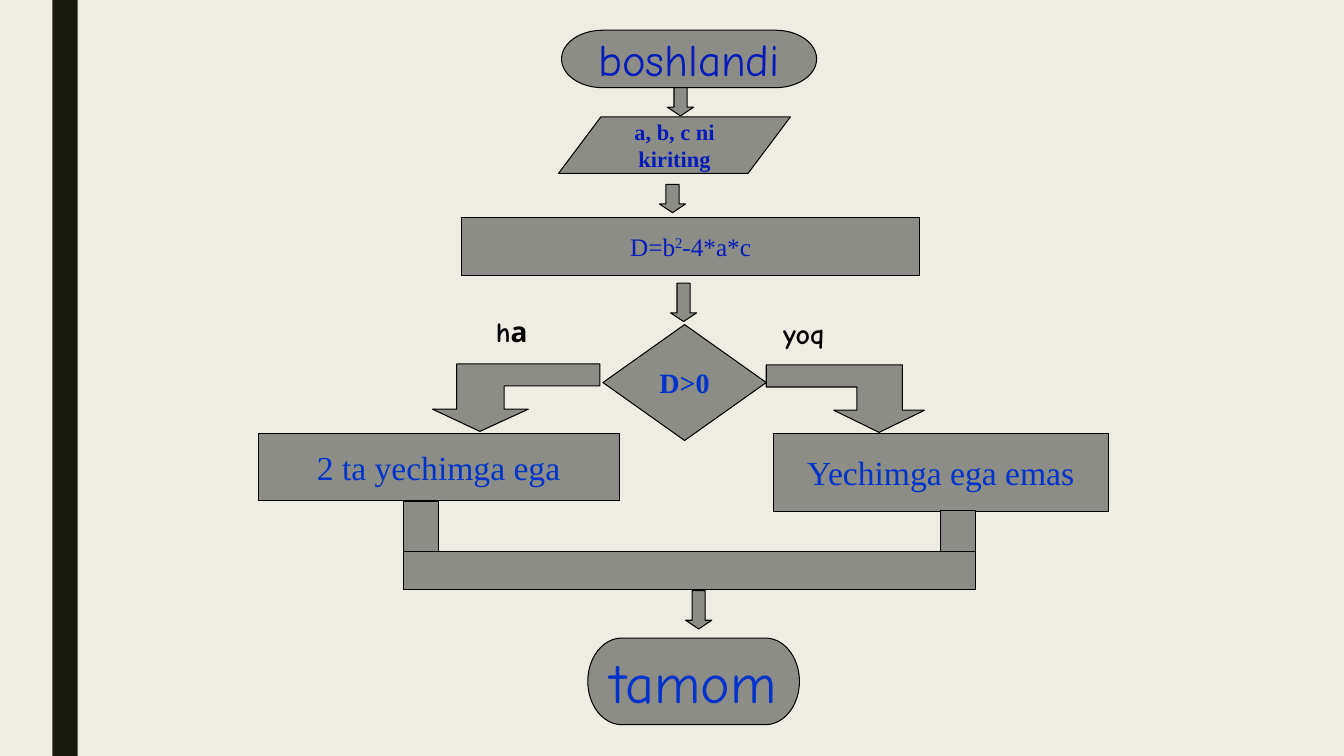
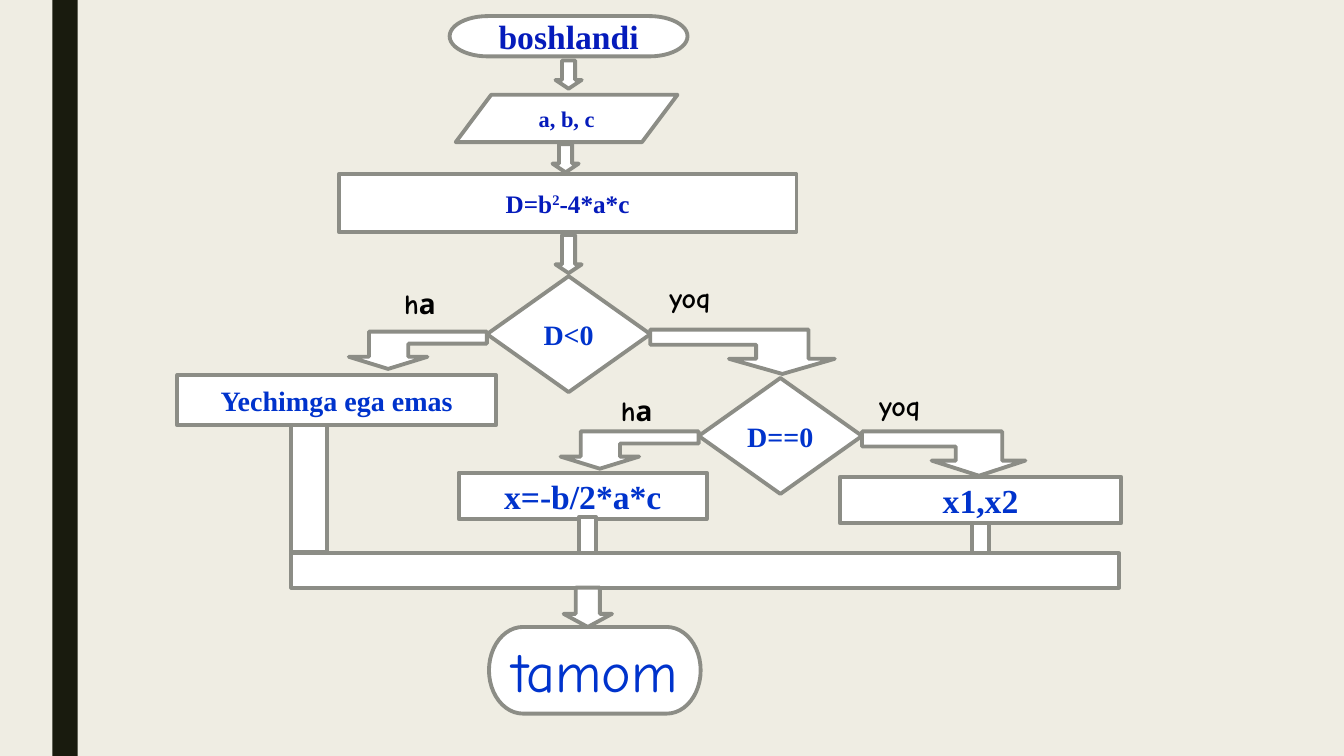
"""Build two flowcharts for solving a quadratic equation."""
from dataclasses import dataclass

from pptx import Presentation
from pptx.dml.color import RGBColor
from pptx.enum.shapes import MSO_SHAPE
from pptx.enum.text import MSO_ANCHOR, PP_ALIGN
from pptx.util import Pt

SCALE = 9144
WIDE, HIGH = 1333, 750
COLORS = {
    "page": "EFEDE3", "band": "191B0E", "gray": "8C8D86", "white": "FFFFFF",
    "black": "000000", "navy": "051BBB", "blue": "0033CC",
}
SERIF, COMIC = "Times New Roman", "Comic Neue"
RECT, DOWN = MSO_SHAPE.RECTANGLE, MSO_SHAPE.DOWN_ARROW
BOX, END = MSO_SHAPE.FLOWCHART_PROCESS, MSO_SHAPE.FLOWCHART_TERMINATOR
TEST, SLANT = MSO_SHAPE.FLOWCHART_DECISION, MSO_SHAPE.PARALLELOGRAM
ADJUST = {DOWN: (0.5, 0.333), SLANT: (0.75,)}
CENTER, MIDDLE = PP_ALIGN.CENTER, MSO_ANCHOR.MIDDLE


@dataclass(frozen=True)
class Look:
    fill: str
    line: str
    weight: float


@dataclass(frozen=True)
class Type:
    size: int
    color: str = "blue"
    bold: bool = True
    font: str = SERIF


@dataclass(frozen=True)
class Node:
    kind: MSO_SHAPE
    x: int
    y: int
    w: int
    h: int
    text: str = ""
    type: Type = Type(20)


@dataclass(frozen=True)
class Bend:
    x: int
    y: int
    w: int
    h: int
    left: bool = False


@dataclass(frozen=True)
class Label:
    x: int
    y: int
    text: str


@dataclass(frozen=True)
class Chart:
    look: Look
    steps: tuple


NOTE = Type(20, "black", font=COMIC)
INPUT = Type(16, "navy")
LARGE = Type(24)
PLAIN = Type(24, bold=False)
FINAL = Type(40, bold=False, font=COMIC)


def arrow(x: int, y: int, h: int, w: int = 26) -> Node:
    """Return a straight arrow pointing down."""
    return Node(DOWN, x, y, w, h)


CHARTS = (
    Chart(Look("gray", "black", 0.75), (
        Node(END, 557, 30, 253, 57, "boshlandi", Type(32, "navy", False, COMIC)),
        Node(BOX, 458, 216, 454, 57, "D=b^2-4*a*c", Type(18, "navy", False)),
        Node(TEST, 598, 322, 162, 115, "D>0"),
        Bend(429, 361, 166, 67, left=True),
        Bend(760, 362, 157, 67),
        Node(BOX, 767, 430, 332, 77, "Yechimga ega emas", PLAIN),
        Node(END, 583, 633, 210, 86, "tamom", FINAL),
        arrow(662, 87, 28),
        arrow(665, 281, 38),
        Label(482, 307, "hа"),
        Label(767, 309, "yoq"),
        Node(RECT, 400, 498, 35, 57),
        Node(RECT, 933, 506, 35, 41),
        Node(RECT, 400, 547, 568, 38),
        arrow(680, 586, 38),
        Node(BOX, 256, 430, 358, 67, "2 ta yechimga ega", PLAIN),
        Node(SLANT, 554, 116, 230, 56, "a, b, c ni\nkiriting", INPUT),
        arrow(654, 183, 28),
    )),
    Chart(Look("white", "gray", 2.75), (
        Node(END, 446, 16, 236, 40, "boshlandi", Type(24, "navy")),
        Node(BOX, 336, 173, 454, 57, "D=b^2-4*a*c", Type(18, "navy")),
        Node(TEST, 483, 274, 162, 115, "D<0"),
        Bend(346, 329, 137, 37, left=True),
        Bend(645, 327, 183, 44),
        Node(BOX, 833, 473, 279, 46, "x1,x2", LARGE),
        Node(END, 485, 622, 210, 86, "tamom", FINAL),
        arrow(551, 60, 28),
        arrow(551, 233, 38),
        Label(391, 279, "hа"),
        Label(654, 273, "yoq"),
        Node(RECT, 289, 419, 35, 129),
        Node(RECT, 964, 519, 17, 36),
        Node(RECT, 289, 549, 821, 34),
        arrow(559, 583, 39, 48),
        Node(SLANT, 452, 94, 220, 47, "a, b, c", INPUT),
        arrow(548, 143, 28),
        Node(BOX, 176, 372, 316, 50, "Yechimga ega emas"),
        Node(TEST, 693, 375, 162, 115, "D==0"),
        Bend(556, 428, 137, 37, left=True),
        Node(BOX, 455, 469, 246, 46, "x=-b/2*a*c", LARGE),
        Label(606, 385, "hа"),
        Bend(855, 428, 162, 44),
        Node(RECT, 574, 513, 17, 36),
        Label(862, 381, "yoq"),
    )),
)


def px(*sizes: int) -> list[int]:
    """Turn pixels into EMU."""
    return [size * SCALE for size in sizes]


def rgb(name: str) -> RGBColor:
    """Look up a named colour."""
    return RGBColor.from_string(COLORS[name])


def paint(shape, look: Look) -> None:
    """Give a shape its fill and outline."""
    shape.shadow.inherit = False
    shape.fill.solid()
    shape.fill.fore_color.rgb = rgb(look.fill)
    shape.line.color.rgb = rgb(look.line)
    shape.line.width = Pt(look.weight)


def write(frame, text: str, kind: Type) -> None:
    """Write lines of text, raising the sign after a caret."""
    for index, line in enumerate(text.split("\n")):
        para = frame.add_paragraph() if index else frame.paragraphs[0]
        para.font.size = Pt(kind.size)
        para.font.name = kind.font
        para.font.bold = kind.bold
        para.font.color.rgb = rgb(kind.color)
        base, mark, rest = line.partition("^")
        para.add_run().text = base
        if mark:
            power = para.add_run()
            power.text = rest[0]
            power.font._element.set("baseline", "30000")
            para.add_run().text = rest[1:]


def draw_node(shapes, node: Node, look: Look) -> None:
    """Draw a preset shape with centred text."""
    shape = shapes.add_shape(node.kind, *px(node.x, node.y, node.w, node.h))
    for index, value in enumerate(ADJUST.get(node.kind, ())):
        shape.adjustments[index] = value
    paint(shape, look)
    if node.text:
        frame = shape.text_frame
        frame.word_wrap = False
        frame.vertical_anchor = MIDDLE
        write(frame, node.text, node.type)
        for para in frame.paragraphs:
            para.alignment = CENTER


def draw_bend(shapes, bend: Bend, look: Look) -> None:
    """Draw an arrow that runs sideways and then turns down."""
    grid = ((0, 0), (6, 0), (6, 2), (7, 2), (5, 3), (3, 2), (4, 2), (4, 1), (0, 1))
    points = [
        (round(bend.x + bend.w * (7 - col if bend.left else col) / 7),
         round(bend.y + bend.h * row / 3))
        for col, row in grid
    ]
    pen = shapes.build_freeform(*points[0], scale=SCALE)
    pen.add_line_segments(points[1:], close=True)
    paint(pen.convert_to_shape(), look)


def draw_label(shapes, label: Label) -> None:
    """Write the answer beside a branch."""
    frame = shapes.add_textbox(*px(label.x, label.y, 96, 44)).text_frame
    frame.word_wrap = True
    write(frame, label.text, NOTE)


def draw_chart(shapes, chart: Chart) -> None:
    """Draw every step from back to front."""
    for step in chart.steps:
        if isinstance(step, Node):
            draw_node(shapes, step, chart.look)
        elif isinstance(step, Bend):
            draw_bend(shapes, step, chart.look)
        else:
            draw_label(shapes, step)


def set_master(deck, shapes) -> None:
    """Put the page colour and the side band on the master."""
    master = deck.slide_master
    master.background.fill.solid()
    master.background.fill.fore_color.rgb = rgb("page")
    band = shapes.add_shape(RECT, *px(52, 0, 25, HIGH))
    paint(band, Look("band", "band", 0))
    band.line.fill.background()
    master.shapes.element.append(band.element)


def main() -> None:
    """Build and save the deck."""
    deck = Presentation()
    deck.slide_width, deck.slide_height = px(WIDE, HIGH)
    blank = deck.slide_layouts[6]
    slides = [deck.slides.add_slide(blank) for _ in CHARTS]
    set_master(deck, slides[0].shapes)
    for slide, chart in zip(slides, CHARTS):
        draw_chart(slide.shapes, chart)
    deck.save("out.pptx")


if __name__ == "__main__":
    main()
